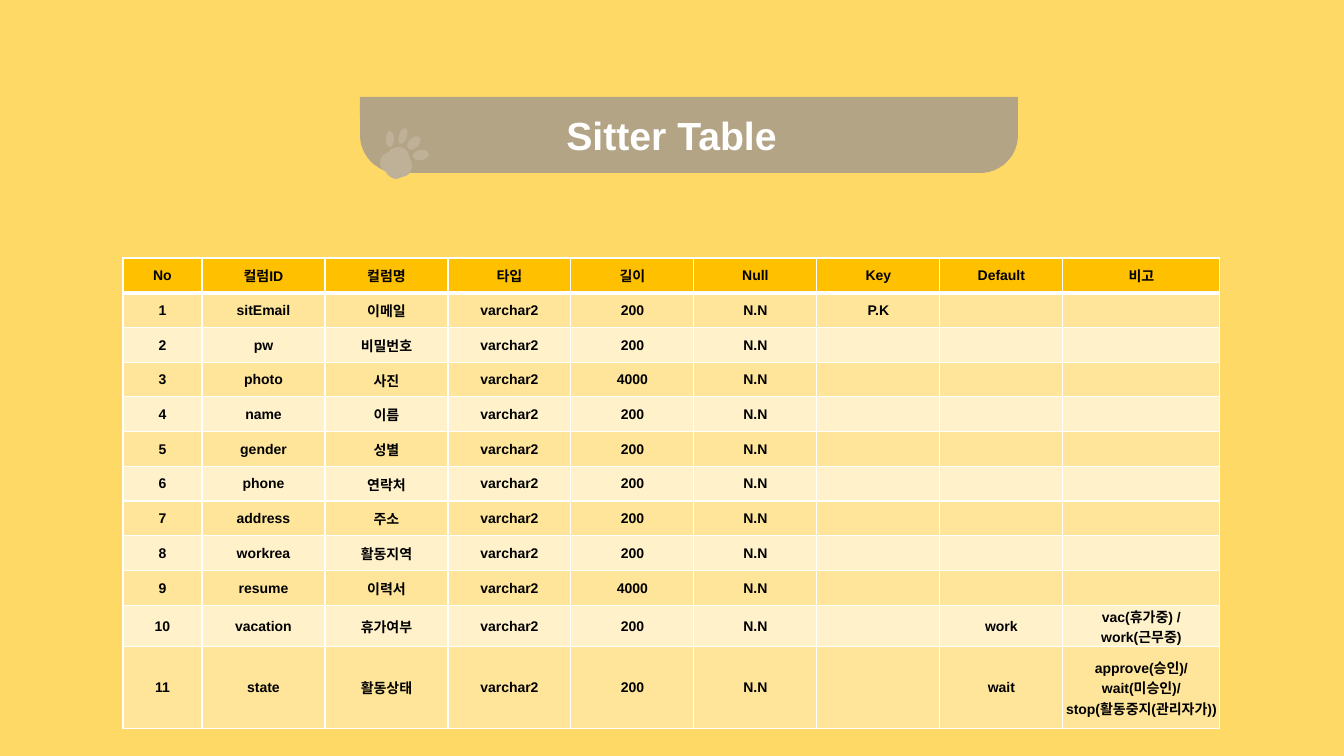
import math

import pptx
import pptx.dml.color
import pptx.enum.shapes
import pptx.enum.text
import pptx.oxml
import pptx.oxml.ns
import pptx.util

SCALE = 914400 / 100.8
FONT = "Arial"
CENTER = pptx.enum.text.PP_ALIGN.CENTER
MIDDLE = pptx.enum.text.MSO_ANCHOR.MIDDLE

HEADS = ["No", "컬럼ID", "컬럼명", "타입", "길이", "Null", "Key", "Default", "비고"]
FIELDS = [
    # id, name, length, key, default, remarks
    ("sitEmail", "이메일", "200", "P.K", "", ""),
    ("pw", "비밀번호", "200", "", "", ""),
    ("photo", "사진", "4000", "", "", ""),
    ("name", "이름", "200", "", "", ""),
    ("gender", "성별", "200", "", "", ""),
    ("phone", "연락처", "200", "", "", ""),
    ("address", "주소", "200", "", "", ""),
    ("workrea", "활동지역", "200", "", "", ""),
    ("resume", "이력서", "4000", "", "", ""),
    ("vacation", "휴가여부", "200", "", "work", "vac(휴가중) /\nwork(근무중)"),
    ("state", "활동상태", "200", "", "wait",
     "approve(승인)/\nwait(미승인)/\nstop(활동중지(관리자가))"),
]
WIDTHS = [79] + [123] * 7 + [157]

PAD = [(19, 19), (24, 20), (28, 24), (30, 31), (32, 35), (32, 40), (30, 45),
       (26, 48), (22, 49), (20, 50), (16, 51), (12, 50), (8, 47), (6, 44),
       (3, 42), (1, 39), (0, 35), (1, 30), (3, 27), (6, 25), (9, 24),
       (10, 22), (14, 20)]
# centre x, centre y, long radius, short radius, tilt in degrees
TOES = [(41, 27, 8, 5, -10), (34, 15, 8, 5, -45),
        (10, 11, 8, 4, 90), (23, 8, 8, 4, -72)]


def px(length):
    return pptx.util.Emu(round(length * SCALE))


def color(code):
    return pptx.dml.color.RGBColor.from_string(code)


def paint(shape, code):
    shape.shadow.inherit = False
    shape.fill.solid()
    shape.fill.fore_color.rgb = color(code)
    shape.line.fill.background()


def write(frame, text, size, code):
    for i, line in enumerate(text.split("\n")):
        para = frame.paragraphs[0] if i == 0 else frame.add_paragraph()
        para.alignment = CENTER
        run = para.add_run()
        run.text = line
        run.font.name = FONT
        run.font.size = pptx.util.Pt(size)
        run.font.bold = True
        run.font.color.rgb = color(code)


def edge(cell, side, width):
    """Draw one white border; side is L, R, T or B."""
    cell._tc.get_or_add_tcPr().append(pptx.oxml.parse_xml(
        f'<a:ln{side} {pptx.oxml.ns.nsdecls("a")} w="{pptx.util.Pt(width)}">'
        f'<a:solidFill><a:srgbClr val="FFFFFF"/></a:solidFill></a:ln{side}>'))


def fill_cell(cell, row, text):
    cell.vertical_anchor = MIDDLE
    cell.margin_left = cell.margin_right = cell.margin_top = px(1)
    cell.margin_bottom = 0
    for side in "LRTB":
        thick = (row, side) in ((0, "B"), (1, "T"))
        edge(cell, side, 3 if thick else 1)
    cell.fill.solid()
    shade = "FFC000" if row == 0 else ("FFF2CB", "FEE599")[row % 2]
    cell.fill.fore_color.rgb = color(shade)
    if text:
        write(cell.text_frame, text, 10, "000000")


def add_grid(slide, x, y, high):
    rows = [HEADS]
    for num, (code, name, size, key, start, note) in enumerate(FIELDS, 1):
        rows.append([str(num), code, name, "varchar2", size, "N.N", key, start, note])
    table = slide.shapes.add_table(
        len(rows), len(HEADS), px(x), px(y), px(sum(WIDTHS)), px(high)).table
    for col, width in zip(table.columns, WIDTHS):
        col.width = px(width)
    for r, texts in enumerate(rows):
        table.rows[r].height = px(high / len(rows))
        for c, text in enumerate(texts):
            fill_cell(table.cell(r, c), r, text)


def oval(cx, cy, long, short, tilt):
    """Return the outline points of a tilted ellipse."""
    cos, sin = math.cos(math.radians(tilt)), math.sin(math.radians(tilt))
    points = []
    for step in range(24):
        turn = step * math.tau / 24
        u, v = long * math.cos(turn), short * math.sin(turn)
        points.append((cx + u * cos - v * sin, cy + u * sin + v * cos))
    return points


def add_paw(shapes, x, y):
    build = None
    for points in [PAD] + [oval(*toe) for toe in TOES]:
        spots = [(px(x + dx), px(y + dy)) for dx, dy in points]
        if build is None:
            build = shapes.build_freeform(*spots[0])
        else:
            build.move_to(*spots[0])
        build.add_line_segments(spots[1:], close=True)
    paint(build.convert_to_shape(), "BFB198")


def add_banner(slide, x, y, wide, high):
    shapes = slide.shapes.add_group_shape().shapes
    bar = shapes.add_shape(
        pptx.enum.shapes.MSO_SHAPE.ROUND_2_SAME_RECTANGLE,
        px(x), px(y), px(wide), px(high))
    bar.adjustments[0] = 0.5
    bar.adjustments[1] = 0
    bar.rotation = 180
    paint(bar, "B4A486")
    box = shapes.add_textbox(px(x + 194), px(y + 9), px(235), px(57))
    box.text_frame.word_wrap = True
    write(box.text_frame, "Sitter Table", 28, "FFFFFF")
    add_paw(shapes, x + 20, y + 31)


def main():
    deck = pptx.Presentation()
    deck.slide_width, deck.slide_height = px(1344), px(756)
    slide = deck.slides.add_slide(deck.slide_layouts[6])
    slide.background.fill.solid()
    slide.background.fill.fore_color.rgb = color("FFD966")
    add_grid(slide, 123, 258, 417)
    add_banner(slide, 360, 97, 658, 76)
    deck.save("out.pptx")


if __name__ == "__main__":
    main()
